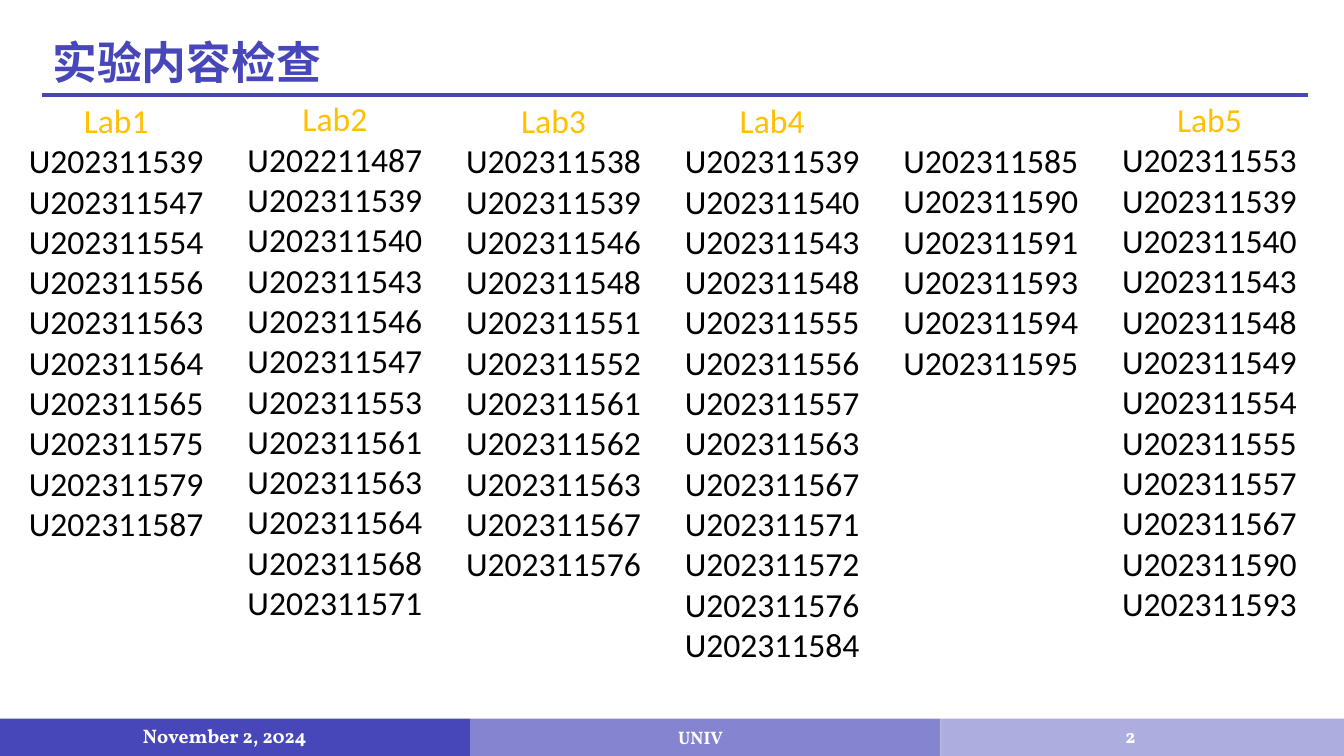
from lxml import etree
from pptx import Presentation
from pptx import util as u
from pptx.dml.color import RGBColor
from pptx.enum import shapes, text
from pptx.oxml import ns

# Content
TITLE = "实验内容检查"
# heading, top in cm, student numbers; columns run left to right
LABS = [
    ("Lab1", 2.39, "U202311539 U202311547 U202311554 U202311556 U202311563 "
                   "U202311564 U202311565 U202311575 U202311579 U202311587"),
    ("Lab2", 2.35, "U202211487 U202311539 U202311540 U202311543 U202311546 "
                   "U202311547 U202311553 U202311561 U202311563 U202311564 "
                   "U202311568 U202311571"),
    ("Lab3", 2.39, "U202311538 U202311539 U202311546 U202311548 U202311551 "
                   "U202311552 U202311561 U202311562 U202311563 U202311567 "
                   "U202311576"),
    ("Lab4", 2.39, "U202311539 U202311540 U202311543 U202311548 U202311555 "
                   "U202311556 U202311557 U202311563 U202311567 U202311571 "
                   "U202311572 U202311576 U202311584"),
    ("", 3.4, "U202311585 U202311590 U202311591 U202311593 U202311594 "
              "U202311595"),
    ("Lab5", 2.37, "U202311553 U202311539 U202311540 U202311543 U202311548 "
                   "U202311549 U202311554 U202311555 U202311557 U202311567 "
                   "U202311590 U202311593"),
]
# left, width, colour of each footer band
BANDS = [(0, 11.85, "4747BA"), (11.85, 11.85, "8484D1"),
         (23.7, 10.17, "ADADE0")]
# text, box, size, alignment
FOOTS = [
    ("November 2, 2024", (3.35, 18.03, 5.13, 1.02), 14, text.PP_ALIGN.LEFT),
    ("UNIV", (11.38, 18.21, 12.55, 0.76), 12.9, text.PP_ALIGN.CENTER),
    ("2", (27.36, 17.78, 2.26, 1.52), 14, text.PP_ALIGN.CENTER),
]
BLUE, GOLD, BLACK, WHITE = "4747BA", "FFC000", "000000", "FFFFFF"
LEFT, STEP, WIDE, ROW, PAD = 0.43, 5.51, 5, 1.02, 0.25

deck = Presentation()
deck.slide_width, deck.slide_height = u.Cm(33.87), u.Cm(19.05)
slide = deck.slides.add_slide(deck.slide_layouts[6])


def paint(hue):
    return RGBColor.from_string(hue)


def write(lines, box, size, face, hues, align, bold=False,
          anchor=text.MSO_ANCHOR.TOP):
    frame = slide.shapes.add_textbox(*map(u.Cm, box)).text_frame
    frame.word_wrap = True
    frame.vertical_anchor = anchor
    frame.text = "\n".join(lines)
    for para, hue in zip(frame.paragraphs, hues):
        para.alignment = align
        font = para.runs[0].font
        font.size, font.name, font.bold = u.Pt(size), face, bold
        font.color.rgb = paint(hue)
        # East Asian glyphs use the same face
        east = etree.SubElement(para.runs[0]._r.rPr, ns.qn("a:ea"))
        east.set("typeface", face)
    return frame


# Footer
for left, width, hue in BANDS:
    band = slide.shapes.add_shape(shapes.MSO_SHAPE.RECTANGLE, u.Cm(left),
                                  u.Cm(18.11), u.Cm(width), u.Cm(0.94))
    band.shadow.inherit = False
    band.fill.solid()
    band.fill.fore_color.rgb = paint(hue)
    band.line.fill.background()
for label, box, size, align in FOOTS:
    write([label], box, size, "Vollkorn", [WHITE], align, True,
          text.MSO_ANCHOR.MIDDLE)

# Title and rule
rule = slide.shapes.add_connector(shapes.MSO_CONNECTOR.STRAIGHT, u.Cm(1.07),
                                  u.Cm(2.39), u.Cm(32.97), u.Cm(2.39))
rule.line.color.rgb = paint(BLUE)
rule.line.width = u.Pt(3)
etree.SubElement(rule._element.spPr, ns.qn("a:effectLst"))
head = write([TITLE], (1.07, 0.91, 18.9, 1.47), 32, "Noto Sans CJK SC",
             [BLUE], text.PP_ALIGN.LEFT, True)
head.paragraphs[0].line_spacing = 0.9
head.paragraphs[0].space_before = u.Pt(10)

# Lab columns
for col, (lab, top, codes) in enumerate(LABS):
    heads = [lab] if lab else []
    lines = heads + codes.split()
    hues = [GOLD] * len(heads) + [BLACK] * len(codes.split())
    box = (LEFT + col * STEP, top, WIDE, len(lines) * ROW + PAD)
    write(lines, box, 24, "Calibri", hues, text.PP_ALIGN.CENTER)

deck.save("out.pptx")
